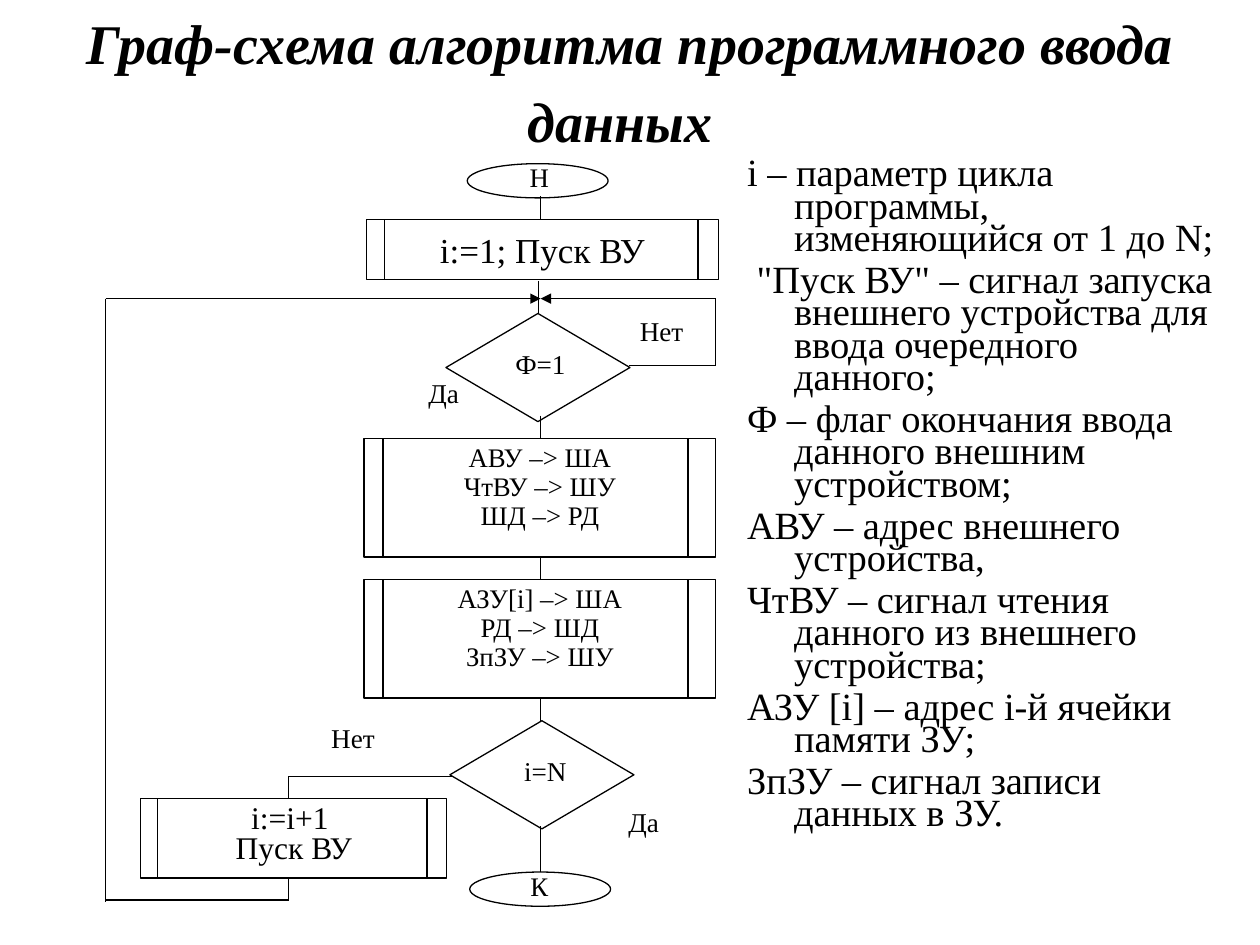
"""Build a slide with the flowchart of programmed data input and its legend."""
from lxml.etree import SubElement
from pptx import Presentation
from pptx.dml.color import RGBColor
from pptx.enum.shapes import MSO_CONNECTOR, MSO_SHAPE
from pptx.enum.text import MSO_ANCHOR, PP_ALIGN
from pptx.oxml.ns import qn
from pptx.util import Cm, Pt

BLACK = RGBColor(0, 0, 0)
SERIF = "Times New Roman"
AXIS, LOOP_LEFT, LOOP_TOP, LOOP_BOTTOM = 10.9, 2.13, 6.02, 18.14
WAIT_RIGHT, WAIT_BOTTOM, STEP_AXIS, STEP_TOP = 14.43, 7.37, 5.82, 15.65


def write_text(shape, lines, size, paragraph_format, anchor=MSO_ANCHOR.TOP):
    frame = shape.text_frame
    frame.word_wrap = True
    frame.vertical_anchor = anchor
    frame.text = "\n".join(lines)
    for index, paragraph in enumerate(frame.paragraphs):
        for name, value in paragraph_format.items():
            if index or name != "space_before":
                setattr(paragraph, name, value)
        for name, value in {"name": SERIF, "size": Pt(size)}.items():
            setattr(paragraph.font, name, value)
        paragraph.font.color.rgb = BLACK


def draw_line(slide, start, end, arrow=False):
    points = [Cm(value) for value in (*start, *end)]
    line = slide.shapes.add_connector(MSO_CONNECTOR.STRAIGHT, *points)
    line.line.color.rgb = BLACK
    line.line.width = Pt(0.75)
    if arrow:
        SubElement(line.line._get_or_add_ln(), qn("a:tailEnd"), type="triangle")
    SubElement(line._element.spPr, qn("a:effectLst"))


presentation = Presentation()
presentation.slide_width = Cm(25.4)
presentation.slide_height = Cm(19.05)
slide = presentation.slides.add_slide(presentation.slide_layouts[5])

title = slide.shapes.title
for name, value in {"left": 1.27, "top": 0.76, "width": 22.86, "height": 1.78}.items():
    setattr(title, name, Cm(value))
write_text(title, ["Граф-схема алгоритма программного ввода данных"], 32,
           {"alignment": PP_ALIGN.CENTER, "line_spacing": Pt(46)}, MSO_ANCHOR.MIDDLE)
title.text_frame.margin_bottom = Cm(0.38)
heading = title.text_frame.paragraphs[0]
for name in ("bold", "italic"):
    setattr(heading.runs[0].font, name, True)
space = heading.add_run()
space.text = " "
for name, value in {"name": "Arial", "size": Pt(40), "bold": False, "italic": False}.items():
    setattr(space.font, name, value)

legend = slide.shapes.add_textbox(Cm(14.81), Cm(3.12), Cm(10.08), Cm(15.29))
write_text(legend, [
    "i – параметр цикла программы, изменяющийся от 1 до N;",
    ' "Пуск ВУ" – сигнал запуска внешнего устройства для ввода очередного данного;',
    "Ф – флаг окончания ввода данного внешним устройством;",
    "АВУ – адрес внешнего устройства,",
    "ЧтВУ – сигнал чтения данного из внешнего устройства;",
    "АЗУ [i] – адрес i-й ячейки памяти ЗУ;",
    "ЗпЗУ – сигнал записи данных в ЗУ.",
], 22, {"line_spacing": 0.7, "space_before": Pt(5.5)})
for paragraph in legend.text_frame.paragraphs:
    properties = paragraph._p.get_or_add_pPr()
    for name, value in {"marL": Cm(0.95), "indent": -Cm(0.95)}.items():
        properties.set(name, str(value))

TOP, MIDDLE = MSO_ANCHOR.TOP, MSO_ANCHOR.MIDDLE
processes = [
    (7.39, 4.42, 7.09, 1.22, 0.36, 0.41, ["i:=1; Пуск ВУ"], 20, 1.0, MIDDLE),
    (7.34, 8.84, 7.09, 2.39, 0.38, 0.56, ["АВУ –> ША", "ЧтВУ –> ШУ", "ШД –> РД"], 15.3, 0.9, TOP),
    (7.34, 11.68, 7.09, 2.39, 0.38, 0.56, ["АЗУ[i] –> ША", "РД –> ШД", "ЗпЗУ –> ШУ"], 15.3, 0.9, TOP),
    (2.84, 16.1, 6.17, 1.6, 0.34, 0.4, ["i:=i+1 ", "Пуск ВУ"], 18, 0.8, TOP),
]
outlines = [
    (MSO_SHAPE.OVAL, 9.42, 3.3, 2.84, 0.69),
    (MSO_SHAPE.OVAL, 9.47, 17.58, 2.84, 0.69),
    (MSO_SHAPE.DIAMOND, 8.99, 6.32, 3.71, 2.18),
    (MSO_SHAPE.DIAMOND, 9.07, 14.53, 3.71, 2.18),
]
outlines += [(MSO_SHAPE.RECTANGLE, *process[:4]) for process in processes]
blocks = []
for kind, *box in outlines:
    block = slide.shapes.add_shape(kind, *[Cm(value) for value in box])
    block.shadow.inherit = False
    block.fill.background()
    block.line.color.rgb = BLACK
    block.line.width = Pt(0.75)
    blocks.append(block)

for block, process in zip(blocks[-len(processes):], processes):
    left, top, width, height, left_bar, right_bar, lines, size, spacing, anchor = process
    write_text(block, lines, size,
               {"alignment": PP_ALIGN.CENTER, "line_spacing": spacing}, anchor)
    for x in (left + left_bar, left + width - right_bar):
        draw_line(slide, (x, top), (x, top + height))

for text, left, top, size, spacing in [
    ("Н", 8.97, 3.18, 15.3, 0.9),
    ("К", 8.97, 17.48, 15.3, 0.9),
    ("Ф=1", 8.99, 7.01, 15.5, 0.8),
    ("Да", 7.04, 7.59, 15.5, 0.8),
    ("Нет", 11.43, 6.35, 15.5, 0.8),
    ("i=N", 9.09, 15.21, 15.5, 0.8),
    ("Да", 11.07, 16.23, 15.5, 0.8),
    ("Нет", 5.21, 14.55, 15.5, 0.8),
]:
    label = slide.shapes.add_textbox(Cm(left), Cm(top), Cm(3.81), Cm(0.94))
    write_text(label, [text], size,
               {"alignment": PP_ALIGN.CENTER, "line_spacing": spacing})

for x, top, bottom in [
    (AXIS, 3.96, 4.42),
    (10.85, 5.66, 6.32),
    (AXIS, 8.38, 8.84),
    (AXIS, 11.23, 11.68),
    (AXIS, 14.07, 14.53),
    (AXIS, 16.66, 17.58),
    (WAIT_RIGHT, LOOP_TOP, WAIT_BOTTOM),
    (STEP_AXIS, STEP_TOP, 16.08),
    (STEP_AXIS, 17.7, LOOP_BOTTOM),
    (LOOP_LEFT, LOOP_TOP, 18.19),
]:
    draw_line(slide, (x, top), (x, bottom))

for y, start, end, arrow in [
    (LOOP_TOP, LOOP_LEFT, AXIS, True),
    (LOOP_TOP, WAIT_RIGHT, AXIS, True),
    (WAIT_BOTTOM, 12.67, WAIT_RIGHT, False),
    (STEP_TOP, STEP_AXIS, 9.14, False),
    (LOOP_BOTTOM, LOOP_LEFT, STEP_AXIS, False),
]:
    draw_line(slide, (start, y), (end, y), arrow)

presentation.save("out.pptx")
